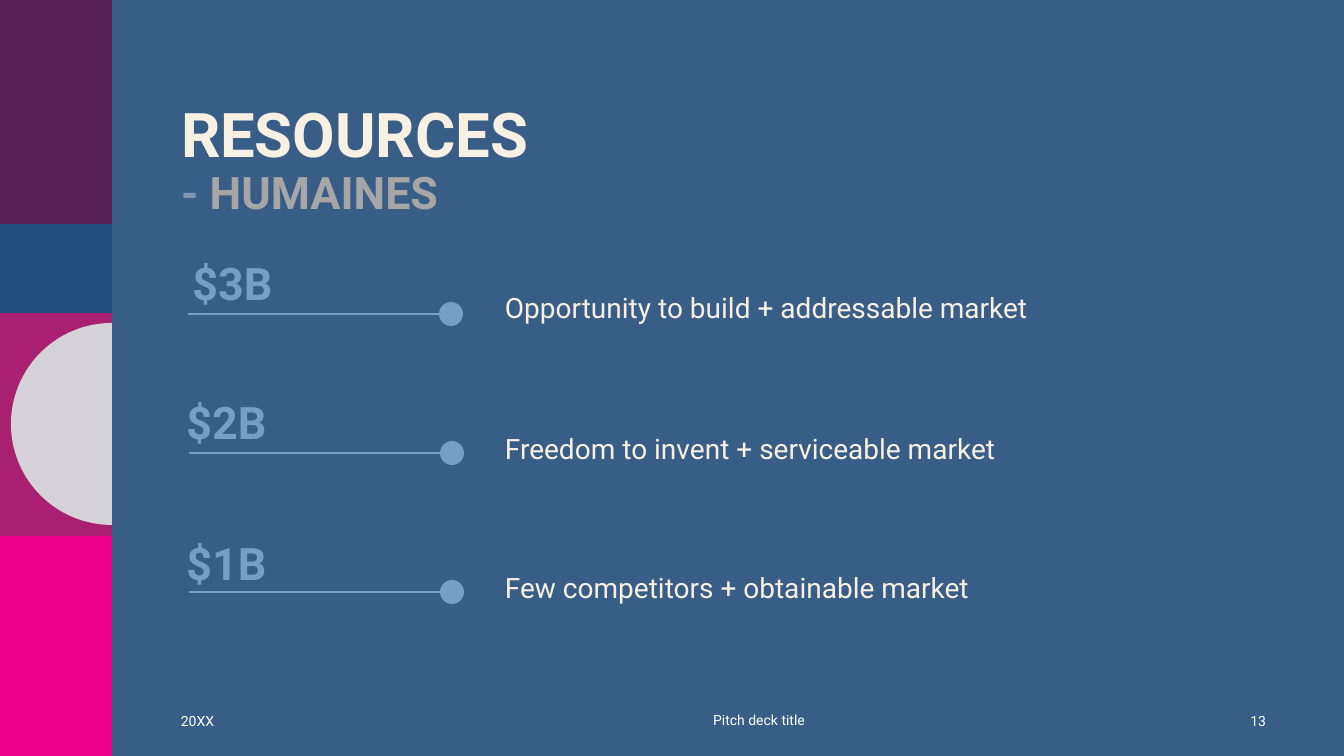
import math
from lxml import etree
from pptx import Presentation
from pptx.dml.color import RGBColor
from pptx.enum.shapes import MSO_CONNECTOR, MSO_SHAPE
from pptx.enum.text import MSO_ANCHOR, PP_ALIGN
from pptx.oxml.ns import qn
from pptx.util import Emu, Pt

STRAIGHT, RECT, OVAL = MSO_CONNECTOR.STRAIGHT, MSO_SHAPE.RECTANGLE, MSO_SHAPE.OVAL
TOP, MIDDLE = MSO_ANCHOR.TOP, MSO_ANCHOR.MIDDLE
LEFT, CENTER, RIGHT = PP_ALIGN.LEFT, PP_ALIGN.CENTER, PP_ALIGN.RIGHT

FONT = "Roboto"
COLORS = {
    "background": "385E88", "pink": "EC008C", "magenta": "AA2070",
    "plum": "582156", "navy": "224E7F", "pale": "D5D2DA", "cream": "F8F0E3",
    "slate": "8497B0", "gray": "A6A6A6", "sky": "789EC7", "white": "FFFFFF",
}
BAND_WIDTH = 112
BANDS = [("pink", 532, 224), ("magenta", 313, 223), ("plum", 0, 224), ("navy", 224, 89)]
TITLE = [[("RESOURCES", 44, "cream")], [("- ", 32, "slate"), ("HUMAINES", 32, "gray")]]
ROWS = [
    {"amount": "$3B", "text": "Opportunity to build + addressable market",
     "amount_at": (152, 243), "text_y": 289, "line_x": 188},
    {"amount": "$2B", "text": "Freedom to invent + serviceable market",
     "amount_at": (146, 382), "text_y": 430, "line_x": 189},
    {"amount": "$1B", "text": "Few competitors + obtainable market",
     "amount_at": (146, 523), "text_y": 569, "line_x": 189},
]
LINE_Y, ROW_STEP, LINE_LENGTH, DOT = 314, 139, 256, 24
FOOTER = [("20XX", 171, 701, 121, LEFT), ("Pitch deck title", 633, 700, 252, CENTER),
          ("13", 1226, 701, 50, RIGHT)]


def px(n):
    return Emu(round(n * 914400 / 100.8))


def rgb(name):
    return RGBColor.from_string(COLORS[name])


def paint(sp, color):
    sp.fill.solid()
    sp.fill.fore_color.rgb = rgb(color)
    sp.line.fill.background()
    sp.shadow.inherit = False


def add_shape(kind, x, y, w, h, color):
    paint(slide.shapes.add_shape(kind, px(x), px(y), px(w), px(h)), color)


def add_text(text, x, y, w, h, size, color, align=LEFT, anchor=MIDDLE, bold=False, spacing=1.0):
    tf = slide.shapes.add_textbox(px(x), px(y), px(w), px(h)).text_frame
    tf.word_wrap = True
    tf.vertical_anchor = anchor
    p = tf.paragraphs[0]
    p.text = text
    p.alignment = align
    p.line_spacing = spacing
    p.font.name, p.font.size, p.font.bold = FONT, Pt(size), bold
    p.font.color.rgb = rgb(color)


def add_half_circle(right, middle, radius, color):
    angles = [math.radians(a) for a in range(90, 271, 2)]
    points = [(px(right + radius * math.cos(a)), px(middle + radius * math.sin(a)))
              for a in angles]
    builder = slide.shapes.build_freeform(*points[0])
    builder.add_line_segments(points[1:], close=True)
    paint(builder.convert_to_shape(), color)


def add_rule(x, y, length):
    line = slide.shapes.add_connector(STRAIGHT, px(x), px(y), px(x + length), px(y))
    line.line.color.rgb = rgb("sky")
    line.line.width = Pt(2)
    etree.SubElement(line._element.spPr, qn("a:effectLst"))


prs = Presentation()
prs.slide_width, prs.slide_height = px(1344), px(756)
slide = prs.slides.add_slide(prs.slide_layouts[5])
slide.background.fill.solid()
slide.background.fill.fore_color.rgb = rgb("background")

for color, y, h in BANDS:
    add_shape(RECT, 0, y, BAND_WIDTH, h, color)
add_half_circle(BAND_WIDTH, 424, 101, "pale")

title = slide.shapes.title
title.left, title.top, title.width, title.height = px(171), px(99), px(1123), px(146)
tf = title.text_frame
tf.word_wrap = True
tf.vertical_anchor = TOP
p = tf.paragraphs[0]
p.alignment = LEFT
p.line_spacing = 0.9
p.font.name, p.font.bold = FONT, True
for i, runs in enumerate(TITLE):
    if i:
        p.add_line_break()
    for text, size, color in runs:
        r = p.add_run()
        r.text = text
        r.font.size = Pt(size)
        r.font.color.rgb = rgb(color)

for i, row in enumerate(ROWS):
    y = LINE_Y + i * ROW_STEP
    x = row["line_x"]
    add_text(row["amount"], *row["amount_at"], 161, 87, 32, "sky", CENTER,
             bold=True, spacing=0.9)
    add_text(row["text"], 495, row["text_y"], 678, 104, 20, "cream",
             anchor=TOP, spacing=0.9)
    add_rule(x, y, LINE_LENGTH)
    add_shape(OVAL, x + LINE_LENGTH - 5, y - DOT / 2, DOT, DOT, "sky")

for text, x, y, w, align in FOOTER:
    add_text(text, x, y, w, 40, 10, "white", align)

prs.save("out.pptx")
